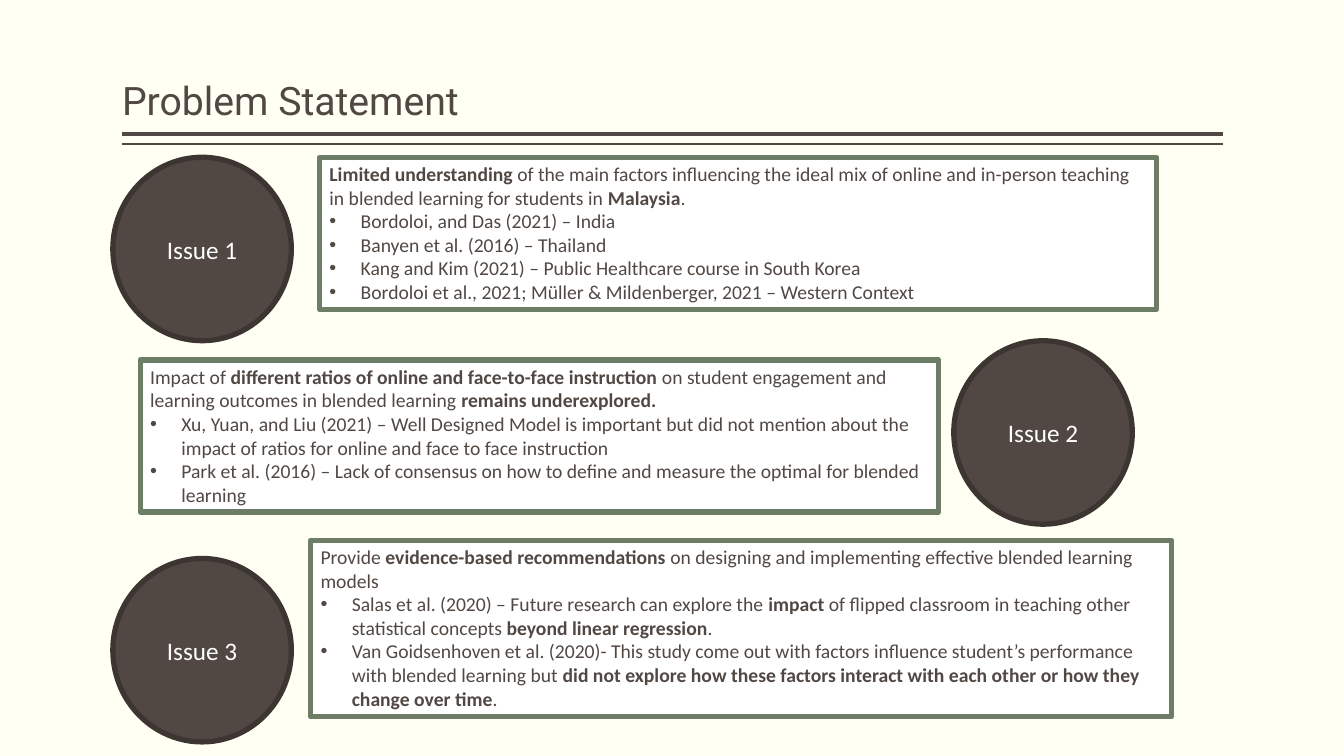
from dataclasses import dataclass

from lxml import etree
from pptx import Presentation
from pptx.dml.color import RGBColor
from pptx.enum.shapes import MSO_CONNECTOR, MSO_SHAPE
from pptx.enum.text import MSO_ANCHOR, MSO_AUTO_SIZE, PP_ALIGN
from pptx.oxml.ns import qn
from pptx.util import Inches, Pt

STRAIGHT = MSO_CONNECTOR.STRAIGHT
ELLIPSE, RECTANGLE = MSO_SHAPE.OVAL, MSO_SHAPE.RECTANGLE
TOP, MIDDLE, BOTTOM = MSO_ANCHOR.TOP, MSO_ANCHOR.MIDDLE, MSO_ANCHOR.BOTTOM
LEFT, CENTER = PP_ALIGN.LEFT, PP_ALIGN.CENTER
GROW, FIXED = MSO_AUTO_SIZE.SHAPE_TO_FIT_TEXT, MSO_AUTO_SIZE.NONE

TITLE = "Problem Statement"

# Places are percent of slide width and height; ** encloses bold words.
ISSUES = [
    {
        "label": "Issue 1",
        "circle": (8.4, 20.8),
        "box": (23.78, 20.8, 62.27, 20.13),
        "claim": "**Limited understanding **of the main factors influencing the ideal mix of online "
                 "and in-person teaching in blended learning for students in **Malaysia**.",
        "studies": [
            "Bordoloi, and Das (2021) – India",
            "Banyen et al. (2016) – Thailand",
            "Kang and Kim (2021) – Public Healthcare course in South Korea",
            "Bordoloi et al., 2021; Müller & Mildenberger, 2021 – Western Context",
        ],
    },
    {
        "label": "Issue 2",
        "circle": (70.97, 45.07),
        "box": (10.43, 47.6, 59.41, 20.13),
        "claim": "Impact of **different ratios of online and face-to-face instruction **on student "
                 "engagement and learning outcomes in blended learning **remains underexplored.**",
        "studies": [
            "Xu, Yuan, and Liu (2021) – Well Designed Model is important but did not mention "
            "about the impact of ratios for online and face to face instruction",
            "Park et al. (2016) – Lack of consensus on how to define and measure the optimal "
            "for blended learning",
        ],
    },
    {
        "label": "Issue 3",
        "circle": (8.4, 73.87),
        "box": (23.11, 71.47, 64.07, 23.33),
        "claim": "Provide **evidence-based recommendations **on designing and implementing "
                 "effective blended learning models",
        "studies": [
            "Salas et al. (2020) – Future research can explore the **impact **of flipped classroom "
            "in teaching other statistical concepts **beyond linear regression**.",
            "Van Goidsenhoven et al. (2020)- This study come out with factors influence student’s "
            "performance with blended learning but **did not explore how these factors interact "
            "with each other or how they change over time**.",
        ],
    },
]
TITLE_AREA = (9.08, 1.07, 81.92, 16)
CIRCLE_SIZE = (13.28, 24.27)
RULES = [(17.73, 3), (19.07, 1)]  # height on the slide, line width
BULLET_INDENT = Inches(0.31)


@dataclass(frozen=True)
class Theme:
    background: RGBColor = RGBColor.from_string("FFFFF3")
    brown: RGBColor = RGBColor.from_string("514843")
    dark_brown: RGBColor = RGBColor.from_string("3C3532")
    green: RGBColor = RGBColor.from_string("6D7D66")
    white: RGBColor = RGBColor.from_string("FFFFFF")
    heading_font: str = "Roboto"
    body_font: str = "Calibri"
    title_size: int = 28
    label_size: int = 18
    body_size: int = 14
    outline: float = 3.78


THEME = Theme()

deck = Presentation()
deck.slide_width, deck.slide_height = Inches(13.33), Inches(7.5)


def across(percent):
    return round(deck.slide_width * percent / 100)


def down(percent):
    return round(deck.slide_height * percent / 100)


def to_emu(area):
    left, top, width, height = area
    return across(left), down(top), across(width), down(height)


def write(paragraph, text, font, size, color):
    """Add text run by run, switching bold at each ** mark."""
    for position, words in enumerate(text.split("**")):
        if words:
            run = paragraph.add_run()
            run.text = words
            run.font.name, run.font.size = font, Pt(size)
            run.font.bold = position % 2 == 1
            run.font.color.rgb = color


def add_bullet(paragraph):
    properties = paragraph._p.get_or_add_pPr()
    properties.set("marL", str(BULLET_INDENT))
    properties.set("indent", str(-BULLET_INDENT))
    etree.SubElement(properties, qn("a:buFont")).set("typeface", "Arial")
    etree.SubElement(properties, qn("a:buChar")).set("char", "•")


def add_panel(slide, kind, area, fill, line, anchor, fit):
    """Add an outlined shape and return its text frame."""
    panel = slide.shapes.add_shape(kind, *to_emu(area))
    panel.shadow.inherit = False
    panel.fill.solid()
    panel.fill.fore_color.rgb = fill
    panel.line.color.rgb = line
    panel.line.width = Pt(THEME.outline)
    etree.SubElement(panel.line._get_or_add_ln(), qn("a:round"))
    frame = panel.text_frame
    frame.word_wrap, frame.vertical_anchor, frame.auto_size = True, anchor, fit
    return frame


def add_heading(slide):
    left, _, width, _ = TITLE_AREA
    for height, weight in RULES:
        rule = slide.shapes.add_connector(
            STRAIGHT, across(left + width), down(height), across(left), down(height))
        rule.line.color.rgb = THEME.brown
        rule.line.width = Pt(weight)
        etree.SubElement(rule._element.spPr, qn("a:effectLst"))
    title = slide.shapes.title
    title.left, title.top, title.width, title.height = to_emu(TITLE_AREA)
    frame = title.text_frame
    frame.margin_left = frame.margin_right = 0
    frame.word_wrap, frame.vertical_anchor, frame.auto_size = True, BOTTOM, FIXED
    heading = frame.paragraphs[0]
    heading.alignment, heading.line_spacing = LEFT, 0.9
    write(heading, TITLE, THEME.heading_font, THEME.title_size, THEME.brown)


def add_circle(slide, issue):
    frame = add_panel(slide, ELLIPSE, issue["circle"] + CIRCLE_SIZE,
                      THEME.brown, THEME.dark_brown, MIDDLE, FIXED)
    label = frame.paragraphs[0]
    label.alignment = CENTER
    write(label, issue["label"], THEME.body_font, THEME.label_size, THEME.white)


def add_box(slide, issue):
    frame = add_panel(slide, RECTANGLE, issue["box"], THEME.white, THEME.green, TOP, GROW)
    claim = frame.paragraphs[0]
    claim.alignment = LEFT
    write(claim, issue["claim"], THEME.body_font, THEME.body_size, THEME.brown)
    for study in issue["studies"]:
        item = frame.add_paragraph()
        item.alignment = LEFT
        add_bullet(item)
        write(item, study, THEME.body_font, THEME.body_size, THEME.brown)


def main():
    slide = deck.slides.add_slide(deck.slide_layouts[5])
    slide.background.fill.solid()
    slide.background.fill.fore_color.rgb = THEME.background
    add_heading(slide)
    for issue in ISSUES:
        add_circle(slide, issue)
        add_box(slide, issue)
    deck.save("out.pptx")


if __name__ == "__main__":
    main()
